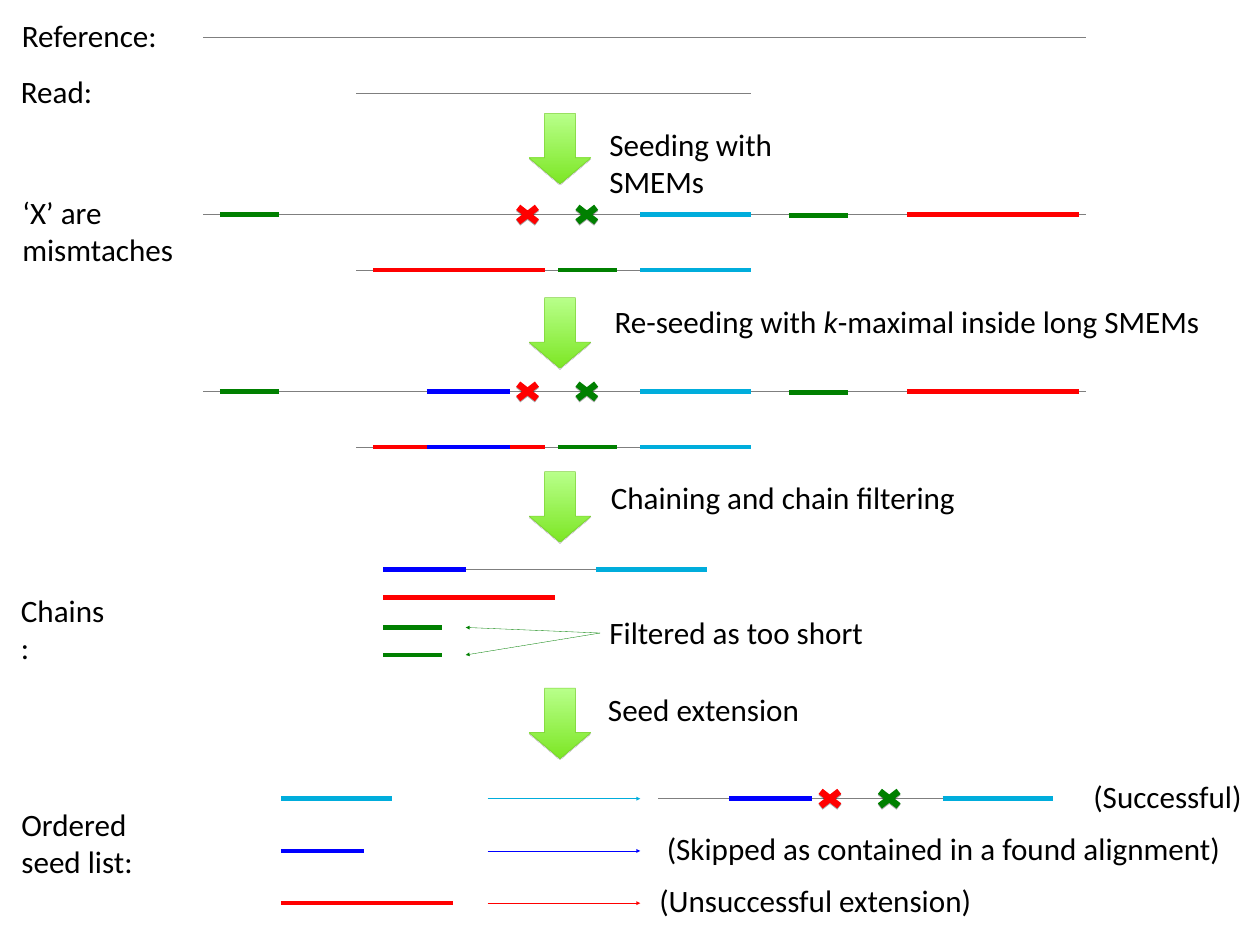
from lxml import etree
from pptx import Presentation
from pptx.dml.color import RGBColor
from pptx.enum.shapes import MSO_CONNECTOR, MSO_SHAPE
from pptx.oxml.ns import qn
from pptx.util import Inches, Pt

STRAIGHT = MSO_CONNECTOR.STRAIGHT
DOWN_ARROW = MSO_SHAPE.DOWN_ARROW
CROSS = MSO_SHAPE.MATH_MULTIPLY

COLORS = {
    "text": "000000",
    "gray": "7F7F7F",
    "cyan": "00ADDC",
    "red": "FF0000",
    "green": "008000",
    "blue": "0000FF",
    "arrow_top": "B8FF8A",
    "arrow_bottom": "7DE725",
    "arrow_edge": "7CD036",
    "arrow_shadow": "808080",
    "cross_shadow": "000000",
}
SEED_LENGTHS = {"cyan": 2.37, "red": 3.68, "green": 1.27, "blue": 1.77}


class Diagram:
    font = "Calibri"
    text_size = 48
    thin, hairline, thick = 1, 0.5, 7

    def __init__(self, page):
        self.page = page

    def color(self, name):
        return RGBColor.from_string(COLORS[name])

    def line(self, start, end, color, width, arrow=False):
        points = [Inches(value) for value in (*start, *end)]
        connector = self.page.shapes.add_connector(STRAIGHT, *points)
        connector.line.color.rgb = self.color(color)
        connector.line.width = Pt(width)
        properties = connector._element.spPr
        if arrow:
            outline = properties.find(qn("a:ln"))
            etree.SubElement(outline, qn("a:tailEnd"), type="triangle")
        etree.SubElement(properties, qn("a:effectLst"))

    def track(self, left, right, y):
        self.line((left, y), (right, y), "gray", self.thin)

    def seed(self, color, left, y):
        right = left + SEED_LENGTHS[color]
        self.line((left, y), (right, y), color, self.thick)

    def pointer(self, start, end, color):
        self.line(start, end, color, self.hairline, arrow=True)

    def shadow(self, shape, color):
        shape.shadow.inherit = False
        effects = shape._element.spPr.find(qn("a:effectLst"))
        outer = etree.SubElement(
            effects, qn("a:outerShdw"), blurRad="0",
            dist=str(Pt(1.8)), dir="5400000", rotWithShape="0")
        tone = etree.SubElement(outer, qn("a:srgbClr"), val=COLORS[color])
        etree.SubElement(tone, qn("a:alpha"), val="35000")

    def step_arrow(self, top):
        arrow = self.page.shapes.add_shape(
            DOWN_ARROW, Inches(11.34), Inches(top), Inches(1.32), Inches(1.51))
        arrow.adjustments[0] = 0.5
        arrow.adjustments[1] = 0.42
        arrow.fill.gradient()
        arrow.fill.gradient_angle = 270
        for stop, name in zip(arrow.fill.gradient_stops,
                              ("arrow_top", "arrow_bottom")):
            stop.color.rgb = self.color(name)
        arrow.line.color.rgb = self.color("arrow_edge")
        arrow.line.width = Pt(0.75)
        self.shadow(arrow, "arrow_shadow")

    def mismatches(self, left, y):
        for index, color in enumerate(("red", "green")):
            cross = self.page.shapes.add_shape(
                CROSS, Inches(left + index * 1.27), Inches(y - 0.3),
                Inches(0.77), Inches(0.6))
            cross.fill.solid()
            cross.fill.fore_color.rgb = self.color(color)
            cross.line.fill.background()
            self.shadow(cross, "cross_shadow")

    def label(self, text, left, top, width, italic=""):
        lines = text.split("\n")
        box = self.page.shapes.add_textbox(
            Inches(left), Inches(top), Inches(width),
            Inches(0.1 + 0.8 * len(lines)))
        frame = box.text_frame
        frame.word_wrap = False
        frame.text = text
        if italic:
            para = frame.paragraphs[0]
            before, after = text.split(italic, 1)
            para.text = before
            for part in (italic, after):
                span = para.add_run()
                span.text = part
                span.font.italic = part == italic
        for para in frame.paragraphs:
            for span in para.runs:
                span.font.name = self.font
                span.font.size = Pt(self.text_size)
                span.font.color.rgb = self.color("text")

    def alignment(self, y, reseeded=False):
        read_y = y + 1.19
        self.track(4.36, 23.27, y)
        self.track(7.63, 16.09, read_y)
        for color, left in (("green", 4.71), ("cyan", 13.72), ("red", 19.44)):
            self.seed(color, left, y)
        self.seed("green", 16.9, y + 0.02)
        for color, left in (("red", 8), ("green", 11.96), ("cyan", 13.72)):
            self.seed(color, left, read_y)
        if reseeded:
            for row in (y, read_y):
                self.seed("blue", 9.15, row)
        self.mismatches(10.92, y)


def main():
    deck = Presentation()
    deck.slide_width = Inches(27)
    deck.slide_height = Inches(20)
    page = deck.slides.add_slide(deck.slide_layouts[6])
    diagram = Diagram(page)

    diagram.track(4.36, 23.27, 0.81)
    diagram.track(7.63, 16.09, 2)
    diagram.alignment(4.6)
    diagram.alignment(8.39, reseeded=True)

    for top in (2.43, 6.38, 10.11, 14.75):
        diagram.step_arrow(top)

    diagram.track(9.98, 12.78, 12.21)
    for color, left, y in (("blue", 8.21, 12.21), ("cyan", 12.78, 12.21),
                           ("red", 8.21, 12.81), ("green", 8.21, 13.45),
                           ("green", 8.21, 14.04)):
        diagram.seed(color, left, y)
    for y in (13.45, 14.04):
        diagram.pointer((12.86, 13.57), (9.98, y), "green")

    for index, color in enumerate(("cyan", "blue", "red")):
        y = 17.12 + index * 1.12
        diagram.seed(color, 6.02, y)
        diagram.pointer((10.45, y), (13.72, y), color)
    diagram.track(14.11, 22.57, 17.12)
    diagram.seed("blue", 15.63, 17.12)
    diagram.seed("cyan", 20.2, 17.12)
    diagram.mismatches(17.4, 17.12)

    for text, left, top, width in (
        ("Reference:", 0.37, 0.31, 3.13),
        ("Read:", 0.35, 1.51, 1.74),
        ("‘X’ are\nmismtaches", 0.38, 4.1, 3.44),
        ("Chains:", 0.35, 12.62, 2.16),
        ("Ordered\nseed list:", 0.36, 17.21, 2.59),
        ("Seeding with SMEMs", 12.96, 2.64, 5.87),
        ("Chaining and chain filtering", 12.99, 10.21, 7.58),
        ("Filtered as too short", 12.96, 13.11, 5.66),
        ("Seed extension", 12.93, 14.75, 4.31),
        ("(Successful)", 23.33, 16.61, 3.38),
        ("(Skipped as contained in a found alignment)", 14.19, 17.73, 12.1),
        ("(Unsuccessful extension)", 14.03, 18.85, 7.06),
    ):
        diagram.label(text, left, top, width)
    diagram.label("Re-seeding with k-maximal inside long SMEMs",
                  13.07, 6.44, 12.75, italic="k")

    deck.save("out.pptx")


if __name__ == "__main__":
    main()
